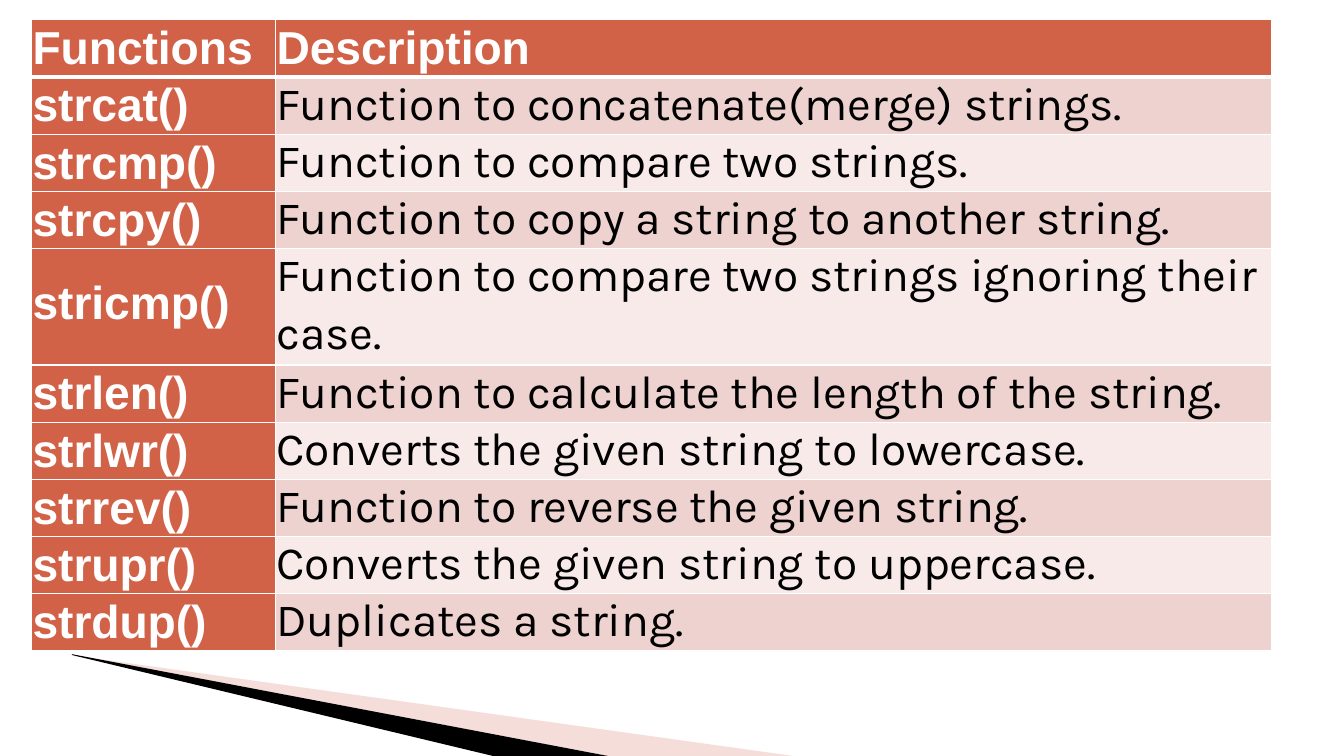
from lxml.etree import SubElement
from pptx import Presentation
from pptx.dml.color import RGBColor
from pptx.oxml import parse_xml
from pptx.oxml.ns import nsdecls, qn
from pptx.util import Inches, Pt

RUST = RGBColor(0xD1, 0x62, 0x48)
ROSE = RGBColor(0xED, 0xD2, 0xCF)
PALE_ROSE = RGBColor(0xF7, 0xEA, 0xE9)
SALMON = RGBColor(0xE7, 0xAC, 0xA3)
BLACK = RGBColor(0, 0, 0)
WHITE = RGBColor(0xFF, 0xFF, 0xFF)

GRID = 100  # columns and rows across the slide
ROW_HEIGHT, TALL_ROW_HEIGHT = 7.57, 15.4

FUNCTIONS = [
    ("Functions", "Description"),
    ("strcat()", "Function to concatenate(merge) strings."),
    ("strcmp()", "Function to compare two strings."),
    ("strcpy()", "Function to copy a string to another string."),
    ("stricmp()", "Function to compare two strings ignoring their\ncase."),
    ("strlen()", "Function to calculate the length of the string."),
    ("strlwr()", "Converts the given string to lowercase."),
    ("strrev()", "Function to reverse the given string."),
    ("strupr()", "Converts the given string to uppercase."),
    ("strdup()", "Duplicates a string."),
]


def write_text(frame, text, font="Karla", size=33, color=BLACK, bold=False,
               line_spacing=39.1, space_before=2.8):
    """Write one paragraph per line; only the first has a fixed line spacing."""
    for index, line in enumerate(text.split("\n")):
        paragraph = frame.add_paragraph() if index else frame.paragraphs[0]
        if index:
            paragraph.space_before = Pt(space_before)
        elif line_spacing:
            paragraph.line_spacing = Pt(line_spacing)
        run = paragraph.add_run()
        run.text = line
        run.font.name, run.font.size, run.font.bold = font, Pt(size), bold
        run.font.color.rgb = color
        run.font._element.set("spc", "-5")


class SlideBuilder:
    def __init__(self, presentation):
        self.width = presentation.slide_width
        self.height = presentation.slide_height
        self.slide = presentation.slides.add_slide(presentation.slide_layouts[6])

    def x(self, columns):
        return round(self.width * columns / GRID)

    def y(self, rows):
        return round(self.height * rows / GRID)

    def wedge(self, outlines, color, opacity=None):
        contours = [[(self.x(column), self.y(row)) for column, row in outline]
                    for outline in outlines]
        builder = self.slide.shapes.build_freeform(*contours[0][0])
        for index, (start, *others) in enumerate(contours):
            if index:
                builder.move_to(*start)
            builder.add_line_segments(others, close=True)
        shape = builder.convert_to_shape()
        shape.shadow.inherit = False
        shape.line.fill.background()
        shape.fill.solid()
        shape.fill.fore_color.rgb = color
        if opacity:
            tint = shape._element.spPr.find(".//" + qn("a:srgbClr"))
            SubElement(tint, qn("a:alpha"), val=str(opacity * 1000))

    def borders(self, cell, **widths):
        properties = cell._tc.get_or_add_tcPr()
        for index, side in enumerate("LRTB"):
            width = Pt(widths.get(side, 1))
            properties.insert(index, parse_xml(
                f'<a:ln{side} {nsdecls("a")} w="{width}"><a:solidFill>'
                f'<a:srgbClr val="{WHITE}"/></a:solidFill></a:ln{side}>'))

    def table(self, rows, left, top, column_widths):
        heights = [TALL_ROW_HEIGHT if "\n" in description else ROW_HEIGHT
                   for name, description in rows]
        table = self.slide.shapes.add_table(
            len(rows), len(column_widths), self.x(left), self.y(top),
            self.x(sum(column_widths)), self.y(sum(heights))).table
        for column, width in zip(table.columns, column_widths):
            column.width = self.x(width)
        for row_index, (texts, height) in enumerate(zip(rows, heights)):
            table.rows[row_index].height = self.y(height)
            for column_index, text in enumerate(texts):
                cell = table.cell(row_index, column_index)
                heading = row_index == 0 or column_index == 0
                centred = column_index == 0 and height == TALL_ROW_HEIGHT
                cell.margin_left = Inches(0.01)
                cell.margin_right = cell.margin_bottom = 0
                cell.margin_top = Inches(0.29 if centred else 0)
                cell.fill.solid()
                band = ROSE if row_index % 2 else PALE_ROSE
                cell.fill.fore_color.rgb = RUST if heading else band
                # A thick rule parts the header from the body
                self.borders(cell, T=3 if row_index == 1 else 1,
                             B=3 if row_index == 0 else 1)
                style = dict(font="Arial", color=WHITE, bold=True) if heading else {}
                write_text(cell.text_frame, text,
                           line_spacing=None if centred else 39.1, **style)


def main():
    presentation = Presentation()
    presentation.slide_width, presentation.slide_height = Inches(13.33), Inches(7.5)
    builder = SlideBuilder(presentation)

    # Decorative wedges along the bottom edge
    builder.wedge([[(6.38, 86.93), (45.23, 100), (59.04, 100)],
                   [(5.48, 86.67), (5.48, 86.8), (6.38, 86.93)]],
                  SALMON, opacity=40)
    builder.wedge([[(5.33, 86.53), (5.4, 86.67), (36.68, 100), (45.23, 100)]], BLACK)

    # String function reference
    builder.table(FUNCTIONS, left=2.35, top=2.6, column_widths=(18.15, 74.1))

    presentation.save("out.pptx")


if __name__ == "__main__":
    main()
